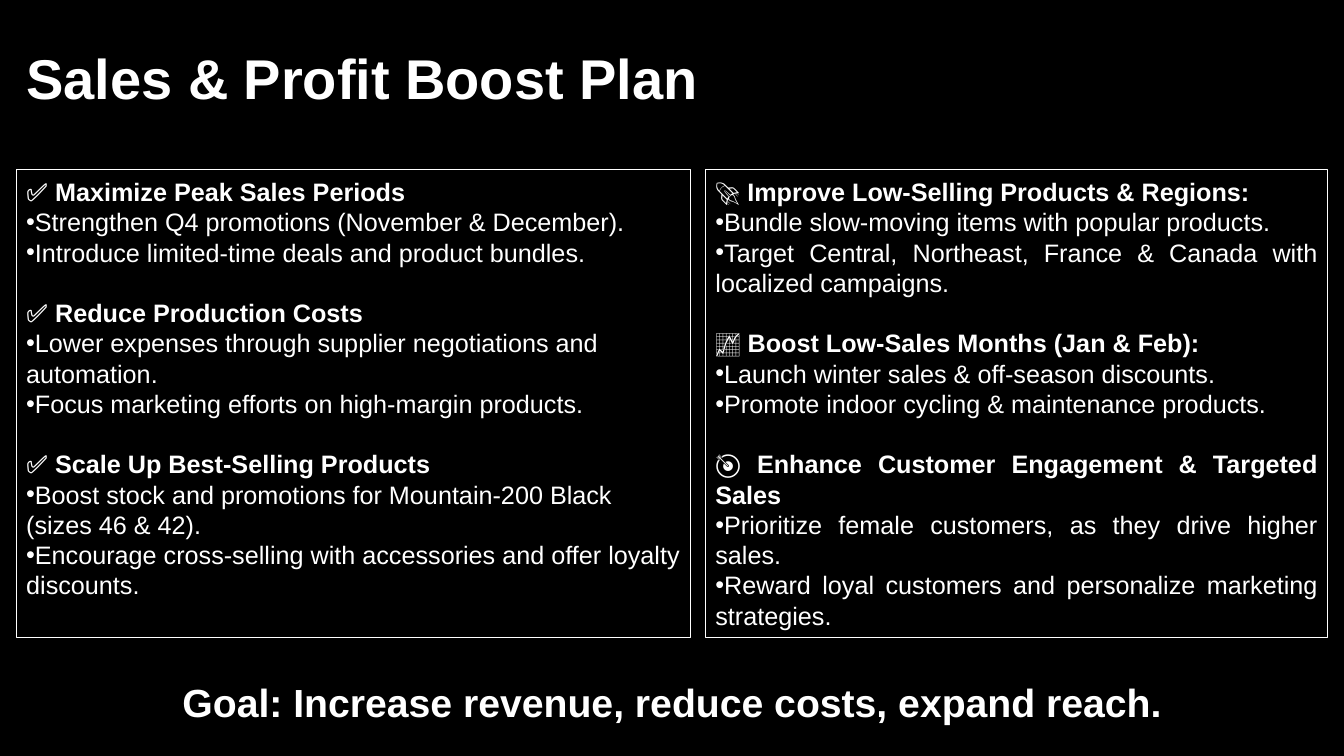
from dataclasses import dataclass

from lxml.etree import SubElement
from pptx import Presentation
from pptx.dml.color import RGBColor
from pptx.enum.shapes import MSO_SHAPE
from pptx.enum.text import MSO_ANCHOR, PP_ALIGN
from pptx.oxml.ns import qn
from pptx.util import Cm, Pt


@dataclass(frozen=True)
class Theme:
    font: str = "Arial"
    background: RGBColor = RGBColor(0, 0, 0)
    ink: RGBColor = RGBColor(255, 255, 255)
    title_size: Pt = Pt(40)
    body_size: Pt = Pt(18)
    goal_size: Pt = Pt(28)
    section_gap: Pt = Pt(21.6)
    border: Pt = Pt(0.75)


THEME = Theme()

GROWTH_ACTIONS = [
    ("✅", "Maximize Peak Sales Periods", [
        "Strengthen Q4 promotions (November & December).",
        "Introduce limited-time deals and product bundles.",
    ]),
    ("✅", "Reduce Production Costs", [
        "Lower expenses through supplier negotiations and automation.",
        "Focus marketing efforts on high-margin products.",
    ]),
    ("✅", "Scale Up Best-Selling Products", [
        "Boost stock and promotions for Mountain-200 Black (sizes 46 & 42).",
        "Encourage cross-selling with accessories and offer loyalty discounts.",
    ]),
]

RECOVERY_ACTIONS = [
    ("🚀", "Improve Low-Selling Products & Regions:", [
        "Bundle slow-moving items with popular products.",
        "Target Central, Northeast, France & Canada with localized campaigns.",
    ]),
    ("📈", "Boost Low-Sales Months (Jan & Feb):", [
        "Launch winter sales & off-season discounts.",
        "Promote indoor cycling & maintenance products.",
    ]),
    ("🎯", "Enhance Customer Engagement & Targeted Sales", [
        "Prioritize female customers, as they drive higher sales.",
        "Reward loyal customers and personalize marketing strategies.",
    ]),
]


def add_span(para, text, size, bold=False):
    span = para.add_run()
    span.text = text
    span.font.name = THEME.font
    span.font.size = size
    span.font.bold = bold
    span.font.color.rgb = THEME.ink


def add_bullet(para):
    properties = para._p.get_or_add_pPr()
    properties.set("marL", "0")
    properties.set("indent", "0")
    SubElement(properties, qn("a:buFont"), typeface=THEME.font)
    SubElement(properties, qn("a:buChar"), char="•")


def place_title(page, left, top, width, height):
    title = page.shapes.title
    title.left, title.top, title.width, title.height = left, top, width, height
    frame = title.text_frame
    frame.word_wrap = True
    frame.vertical_anchor = MSO_ANCHOR.MIDDLE
    para = frame.paragraphs[0]
    para.alignment = PP_ALIGN.LEFT
    para.line_spacing = 0.9
    add_span(para, "Sales & Profit Boost Plan", THEME.title_size, True)


def add_plan_panel(page, left, top, width, height, sections, alignment):
    panel = page.shapes.add_shape(MSO_SHAPE.RECTANGLE, left, top, width, height)
    panel.shadow.inherit = False
    panel.fill.background()
    panel.line.color.rgb = THEME.ink
    panel.line.width = THEME.border
    frame = panel.text_frame
    frame.word_wrap = True
    frame.vertical_anchor = MSO_ANCHOR.TOP
    frame.margin_top = Cm(0.18)
    for index, (icon, heading, actions) in enumerate(sections):
        para = frame.add_paragraph() if index else frame.paragraphs[0]
        para.alignment = alignment
        if index:
            para.space_before = THEME.section_gap
        add_span(para, f"{icon} ", THEME.body_size)
        add_span(para, heading, THEME.body_size, True)
        for action in actions:
            para = frame.add_paragraph()
            para.alignment = alignment
            add_bullet(para)
            add_span(para, action, THEME.body_size)


def add_goal(page, left, top, width, height):
    box = page.shapes.add_textbox(left, top, width, height)
    box.text_frame.word_wrap = True
    para = box.text_frame.paragraphs[0]
    para.alignment = PP_ALIGN.CENTER
    add_span(para, "Goal: Increase revenue, reduce costs, expand reach.",
             THEME.goal_size, True)


def main():
    deck = Presentation()
    deck.slide_width, deck.slide_height = Cm(33.87), Cm(19.05)
    page = deck.slides.add_slide(deck.slide_layouts[5])
    page.background.fill.solid()
    page.background.fill.fore_color.rgb = THEME.background

    margin, panel_top, panel_height = Cm(0.41), Cm(4.27), Cm(11.79)
    place_title(page, margin, Cm(1.52), Cm(27.51), Cm(1.07))
    add_plan_panel(page, margin, panel_top, Cm(17), panel_height,
                   GROWTH_ACTIONS, PP_ALIGN.LEFT)
    add_plan_panel(page, Cm(17.78), panel_top, Cm(15.68), panel_height,
                   RECOVERY_ACTIONS, PP_ALIGN.JUSTIFY)
    add_goal(page, 0, Cm(16.97), deck.slide_width, Cm(1.45))
    deck.save("out.pptx")


if __name__ == "__main__":
    main()
